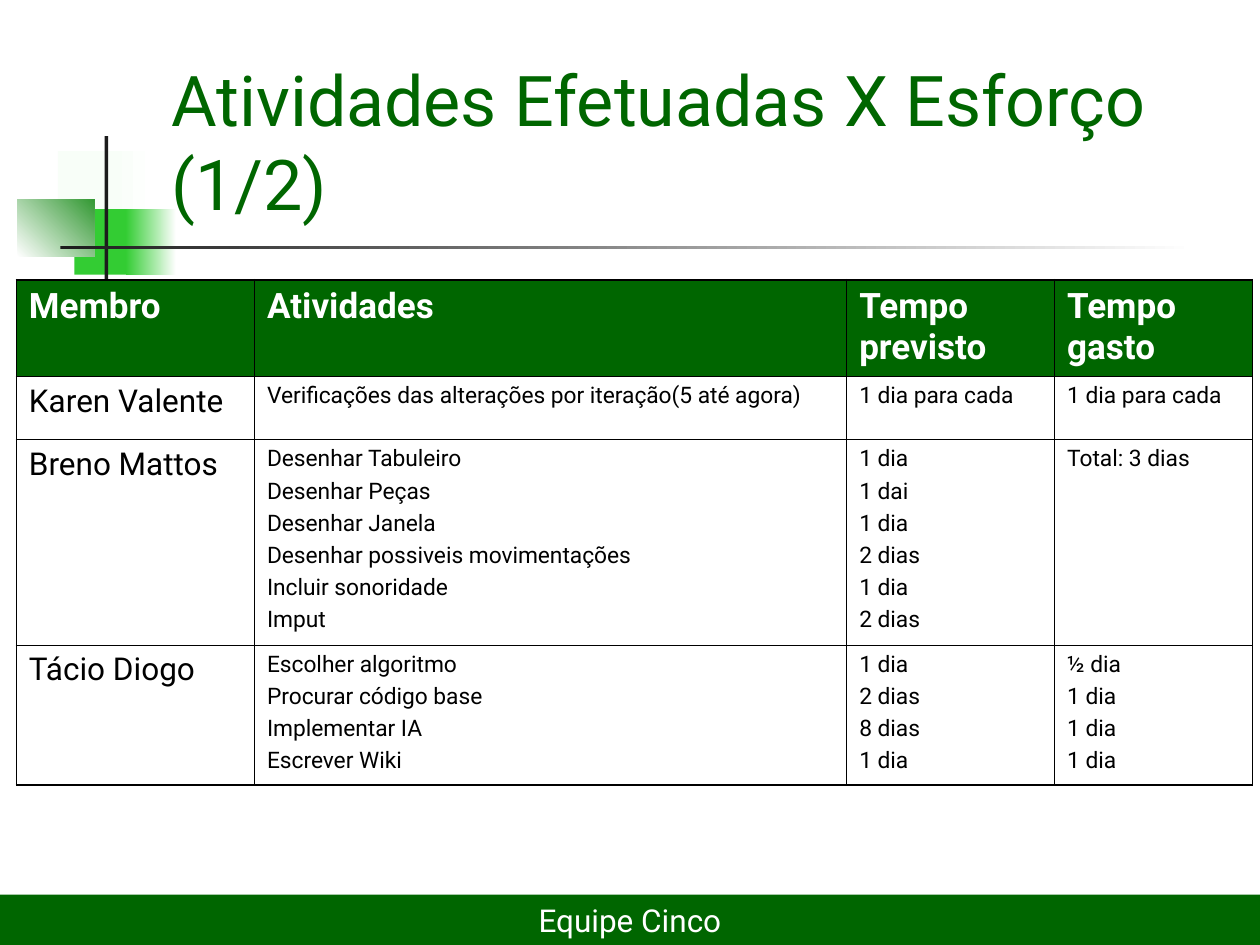
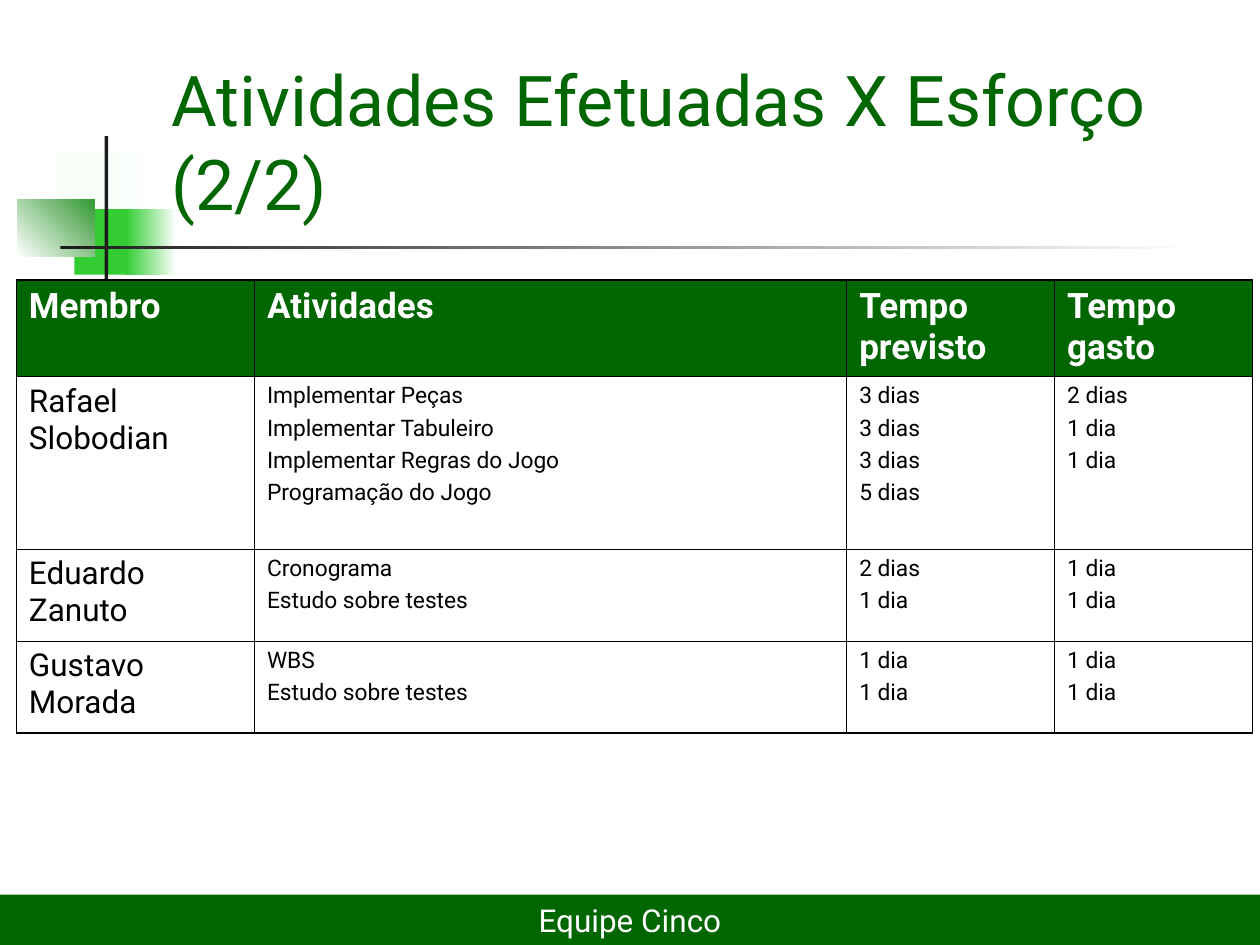
from dataclasses import dataclass

from lxml import etree
from pptx import Presentation
from pptx.dml.color import RGBColor
from pptx.enum.shapes import MSO_SHAPE
from pptx.enum.text import MSO_ANCHOR, MSO_AUTO_SIZE, PP_ALIGN
from pptx.oxml.ns import qn
from pptx.util import Inches, Pt

RECTANGLE = MSO_SHAPE.RECTANGLE
BOTTOM, MIDDLE = MSO_ANCHOR.BOTTOM, MSO_ANCHOR.MIDDLE
LEFT, CENTER = PP_ALIGN.LEFT, PP_ALIGN.CENTER
TITLE_ONLY = 5


@dataclass(frozen=True)
class Theme:
    font: str = "Roboto"
    green: str = "006600"
    lime: str = "33CC33"
    leaf: str = "339933"
    mint: str = "F8FEF8"
    white: str = "FFFFFF"
    black: str = "000000"
    charcoal: str = "1C1C1C"
    title_size: float = 40
    header_size: float = 20
    member_size: float = 18
    footer_size: float = 18
    detail_size: float = 13
    outer_border: float = 1.08
    inner_border: float = 0.45


theme = Theme()

# Grid of 100 columns by 75 rows, all lengths below are counted in its cells
COLUMNS, ROWS = 100, 75
presentation = Presentation()
presentation.slide_width, presentation.slide_height = Inches(10), Inches(7.5)
column_width = presentation.slide_width / COLUMNS
row_height = presentation.slide_height / ROWS


def write_text(frame, text, size, color, bold=False, align=LEFT, space_before=0):
    """Write one paragraph for each line of text."""
    for index, line in enumerate(text.split("\n")):
        paragraph = frame.add_paragraph() if index else frame.paragraphs[0]
        paragraph.alignment = align
        paragraph.space_before = Pt(space_before)
        run = paragraph.add_run()
        run.text = line
        run.font.name, run.font.size, run.font.bold = theme.font, Pt(size), bold
        run.font.color.rgb = RGBColor.from_string(color)


def add_block(slide, left, top, width, height, colors, angle=0):
    """Add a rectangle with one plain colour or a gradient of two."""
    shape = slide.shapes.add_shape(
        RECTANGLE, round(left * column_width), round(top * row_height),
        round(width * column_width), round(height * row_height))
    shape.shadow.inherit = False
    shape.line.fill.background()
    if len(colors) == 1:
        shape.fill.solid()
        shape.fill.fore_color.rgb = RGBColor.from_string(colors[0])
    else:
        shape.fill.gradient()
        shape.fill.gradient_angle = angle
        for stop, color in zip(shape.fill.gradient_stops, colors):
            stop.color.rgb = RGBColor.from_string(color)
    return shape


# Ornament beside the title: left, top, width, height, colours, angle
ornament = [
    (4.6, 12, 4.8, 5.2, [theme.mint], 0),
    (8.8, 12, 3.6, 5.2, [theme.mint, theme.white], 0),
    (5.9, 16.6, 4.6, 5.2, [theme.lime], 0),
    (10, 16.6, 4, 5.2, [theme.lime, theme.white], 0),
    (1.4, 15.8, 6.1, 4.6, [theme.white, theme.leaf], 45),
    (8.3, 10.8, 0.3, 11.5, [theme.charcoal], 0),
    (4.8, 19.5, 90, 0.3, [theme.charcoal, theme.white], 0),
]

# Table contents: row height, then the cells of the row
header = (7.7, ["Membro", "Atividades", "Tempo previsto", "Tempo gasto"])
table_columns = [18.9, 47, 16.5, 15.7]
members_by_slide = [
    [
        (5, ["Karen Valente",
             "Verificações das alterações por iteração(5 até agora)",
             "1 dia para cada", "1 dia para cada"]),
        (16.3, ["Breno Mattos",
                "Desenhar Tabuleiro\nDesenhar Peças\nDesenhar Janela\n"
                "Desenhar possiveis movimentações\nIncluir sonoridade\nImput",
                "1 dia\n1 dai\n1 dia\n2 dias\n1 dia\n2 dias",
                "Total: 3 dias"]),
        (11.1, ["Tácio Diogo",
                "Escolher algoritmo\nProcurar código base\n"
                "Implementar IA\nEscrever Wiki",
                "1 dia\n2 dias\n8 dias\n1 dia",
                "½ dia\n1 dia\n1 dia\n1 dia"]),
    ],
    [
        (13.7, ["Rafael Slobodian",
                "Implementar Peças\nImplementar Tabuleiro\n"
                "Implementar Regras do Jogo\nProgramação do Jogo",
                "3 dias\n3 dias\n3 dias\n5 dias",
                "2 dias\n1 dia\n1 dia"]),
        (7.3, ["Eduardo Zanuto", "Cronograma\nEstudo sobre testes",
               "2 dias\n1 dia", "1 dia\n1 dia"]),
        (7.3, ["Gustavo Morada", "WBS\nEstudo sobre testes",
               "1 dia\n1 dia", "1 dia\n1 dia"]),
    ],
]

for number, members in enumerate(members_by_slide, start=1):
    slide = presentation.slides.add_slide(presentation.slide_layouts[TITLE_ONLY])
    for block in ornament:
        add_block(slide, *block)

    # Title, brought in front of the ornament
    title = slide.shapes.title
    slide.shapes.element.append(title.element)
    title.left, title.top = round(12.6 * column_width), round(2.3 * row_height)
    title.width, title.height = round(85.2 * column_width), round(16 * row_height)
    title.text_frame.vertical_anchor = BOTTOM
    title.text_frame.word_wrap = True
    title.text_frame.auto_size = MSO_AUTO_SIZE.NONE
    write_text(title.text_frame,
               f"Atividades Efetuadas X Esforço ({number}/{len(members_by_slide)})",
               size=theme.title_size, color=theme.green)

    # Footer band
    footer = add_block(slide, 0, 71, COLUMNS, 4, [theme.green])
    footer.text_frame.vertical_anchor = MIDDLE
    write_text(footer.text_frame, "Equipe Cinco", size=theme.footer_size,
               color=theme.white, align=CENTER)

    # Table of members, activities and times
    table_rows = [header, *members]
    last_row, last_column = len(table_rows) - 1, len(table_columns) - 1
    table = slide.shapes.add_table(
        len(table_rows), len(table_columns),
        round(1.3 * column_width), round(22.2 * row_height),
        round(sum(table_columns) * column_width),
        round(sum(height for height, _ in table_rows) * row_height)).table
    table.first_row = table.horz_banding = False
    for column, width in zip(table.columns, table_columns):
        column.width = round(width * column_width)

    for row_index, (height, texts) in enumerate(table_rows):
        table.rows[row_index].height = round(height * row_height)
        for column_index, text in enumerate(texts):
            cell = table.cell(row_index, column_index)

            # Borders come before the fill in the cell properties
            outer_sides = {"L": column_index == 0, "R": column_index == last_column,
                           "T": row_index == 0, "B": row_index == last_row}
            properties = cell._tc.get_or_add_tcPr()
            for side, is_outer in outer_sides.items():
                points = theme.outer_border if is_outer else theme.inner_border
                line = etree.SubElement(properties, qn(f"a:ln{side}"), w=str(Pt(points)))
                line_fill = etree.SubElement(line, qn("a:solidFill"))
                etree.SubElement(line_fill, qn("a:srgbClr"), val=theme.black)

            if row_index == 0:
                cell.fill.solid()
                cell.fill.fore_color.rgb = RGBColor.from_string(theme.green)
                style = dict(size=theme.header_size, color=theme.white,
                             bold=True, space_before=5)
            else:
                cell.fill.background()
                if column_index == 0:
                    style = dict(size=theme.member_size, color=theme.black,
                                 space_before=4.5)
                else:
                    style = dict(size=theme.detail_size, color=theme.black,
                                 space_before=3.3)
            write_text(cell.text_frame, text, **style)

presentation.save("out.pptx")
